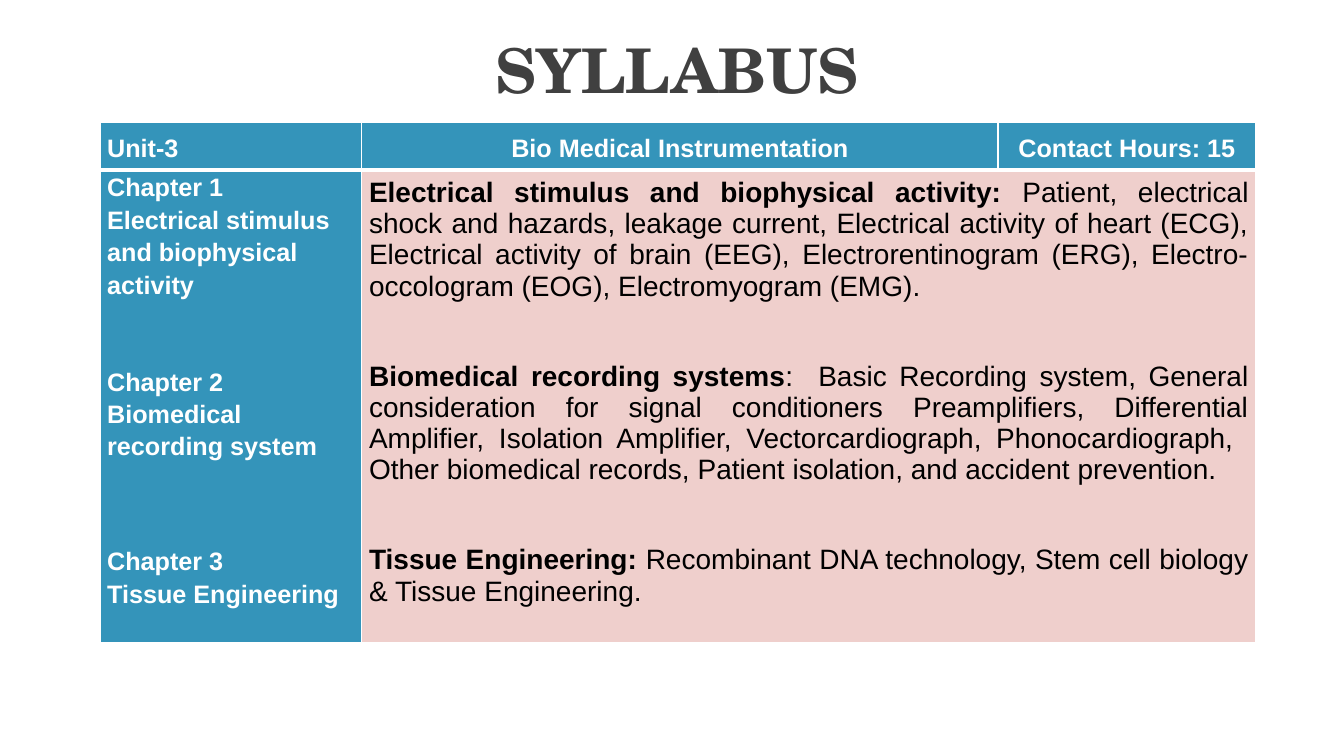
from lxml.etree import SubElement
from pptx import Presentation
from pptx.dml.color import RGBColor
from pptx.enum.text import MSO_ANCHOR, PP_ALIGN
from pptx.oxml.ns import qn
from pptx.util import Cm, Pt

WHITE = RGBColor(0xFF, 0xFF, 0xFF)
BLACK = RGBColor(0, 0, 0)
GREY = RGBColor(0x40, 0x40, 0x40)
TEAL = RGBColor(0x34, 0x94, 0xBA)
ROSE = RGBColor(0xEF, 0xCF, 0xCC)
SANS = "Arial"
SERIF = "TeX Gyre Schola"

HEADS = [
    ("Unit-3", PP_ALIGN.LEFT),
    ("Bio Medical Instrumentation", PP_ALIGN.CENTER),
    ("Contact Hours: 15", PP_ALIGN.CENTER),
]
NAMES = [
    ("Chapter 1", "Electrical stimulus and biophysical activity", 0),
    ("Chapter 2", "Biomedical recording system", 46),
    ("Chapter 3", "Tissue Engineering", 59),
]
TOPICS = [
    ("Electrical stimulus and biophysical activity: ",
     "Patient, electrical shock and hazards, leakage current, Electrical "
     "activity of heart (ECG), Electrical activity of brain (EEG), "
     "Electrorentinogram (ERG), Electro-occologram (EOG), "
     "Electromyogram (EMG).", 0),
    ("Biomedical recording systems",
     ":  Basic Recording system, General consideration for signal "
     "conditioners Preamplifiers, Differential Amplifier, Isolation "
     "Amplifier, Vectorcardiograph, Phonocardiograph,  Other biomedical "
     "records, Patient isolation, and accident prevention.", 42),
    ("Tissue Engineering: ",
     "Recombinant DNA technology, Stem cell biology & Tissue "
     "Engineering.", 42),
]


def add_run(para, text, size, color, bold=True, font=SANS):
    """Append one styled run to a paragraph."""
    run = para.add_run()
    run.text = text
    run.font.name = font
    run.font.size = Pt(size)
    run.font.bold = bold
    run.font.color.rgb = color


def add_para(frame, first, align, line, before=0):
    """Return the first paragraph of a frame, or a new one."""
    para = frame.paragraphs[0] if first else frame.add_paragraph()
    para.alignment = align
    para.line_spacing = line
    para.space_before = Pt(before)
    return para


def style_cell(cell, fill, head):
    """Set the margins, white borders and fill of a cell."""
    cell.margin_left = cell.margin_right = Cm(0.18)
    cell.margin_top = cell.margin_bottom = 0
    props = cell._tc.get_or_add_tcPr()
    thick = "lnB" if head else "lnT"
    for side in ("lnL", "lnR", "lnT", "lnB"):
        width = Pt(3 if side == thick else 1)
        edge = SubElement(props, qn(f"a:{side}"), w=str(width))
        solid = SubElement(edge, qn("a:solidFill"))
        SubElement(solid, qn("a:srgbClr"), val=str(WHITE))
    cell.fill.solid()
    cell.fill.fore_color.rgb = fill


def add_title(slide, left, top, width, height):
    """Place the slide title in its box."""
    frame = slide.shapes.add_textbox(left, top, width, height).text_frame
    frame.word_wrap = True
    frame.vertical_anchor = MSO_ANCHOR.MIDDLE
    para = add_para(frame, True, PP_ALIGN.CENTER, 0.9)
    add_run(para, "SYLLABUS", 44, GREY, font=SERIF)


def fill_heads(table):
    """Write the header row."""
    for col, (text, align) in enumerate(HEADS):
        cell = table.cell(0, col)
        cell.vertical_anchor = MSO_ANCHOR.MIDDLE
        add_run(add_para(cell.text_frame, True, align, 1.15), text, 18, WHITE)


def fill_names(cell):
    """Write the chapter names."""
    for num, (label, name, gap) in enumerate(NAMES):
        para = add_para(cell.text_frame, num == 0, PP_ALIGN.LEFT, 1.15, gap)
        add_run(para, label, 18, WHITE)
        para = add_para(cell.text_frame, False, PP_ALIGN.LEFT, 1.15)
        add_run(para, name, 18, WHITE)


def fill_topics(cell):
    """Write the topics of each chapter."""
    cell.margin_top = Cm(0.18)
    for num, (lead, body, gap) in enumerate(TOPICS):
        para = add_para(cell.text_frame, num == 0, PP_ALIGN.JUSTIFY, 1.0, gap)
        add_run(para, lead, 20, BLACK)
        add_run(para, body, 20, BLACK, bold=False)


def add_plan(slide, left, top, width, height):
    """Place the syllabus table in its box."""
    table = slide.shapes.add_table(2, 3, left, top, width, height).table
    table.horz_banding = False
    first, last = Cm(6.6), Cm(6.5)
    for col, size in zip(table.columns, (first, width - first - last, last)):
        col.width = size
    head = Cm(1.19)
    table.rows[0].height = head
    table.rows[1].height = height - head
    for row in range(2):
        for col in range(3):
            fill = ROSE if row and col else TEAL
            style_cell(table.cell(row, col), fill, row == 0)
    table.cell(1, 1).merge(table.cell(1, 2))
    fill_heads(table)
    fill_names(table.cell(1, 0))
    fill_topics(table.cell(1, 1))


def main():
    """Build and save the slide."""
    deck = Presentation()
    deck.slide_width, deck.slide_height = Cm(33.87), Cm(19.05)
    slide = deck.slides.add_slide(deck.slide_layouts[6])
    add_title(slide, Cm(3.15), Cm(0.53), Cm(27.84), Cm(2.67))
    add_plan(slide, Cm(2.52), Cm(3.09), Cm(29.13), Cm(13.1))
    deck.save("out.pptx")


if __name__ == "__main__":
    main()
